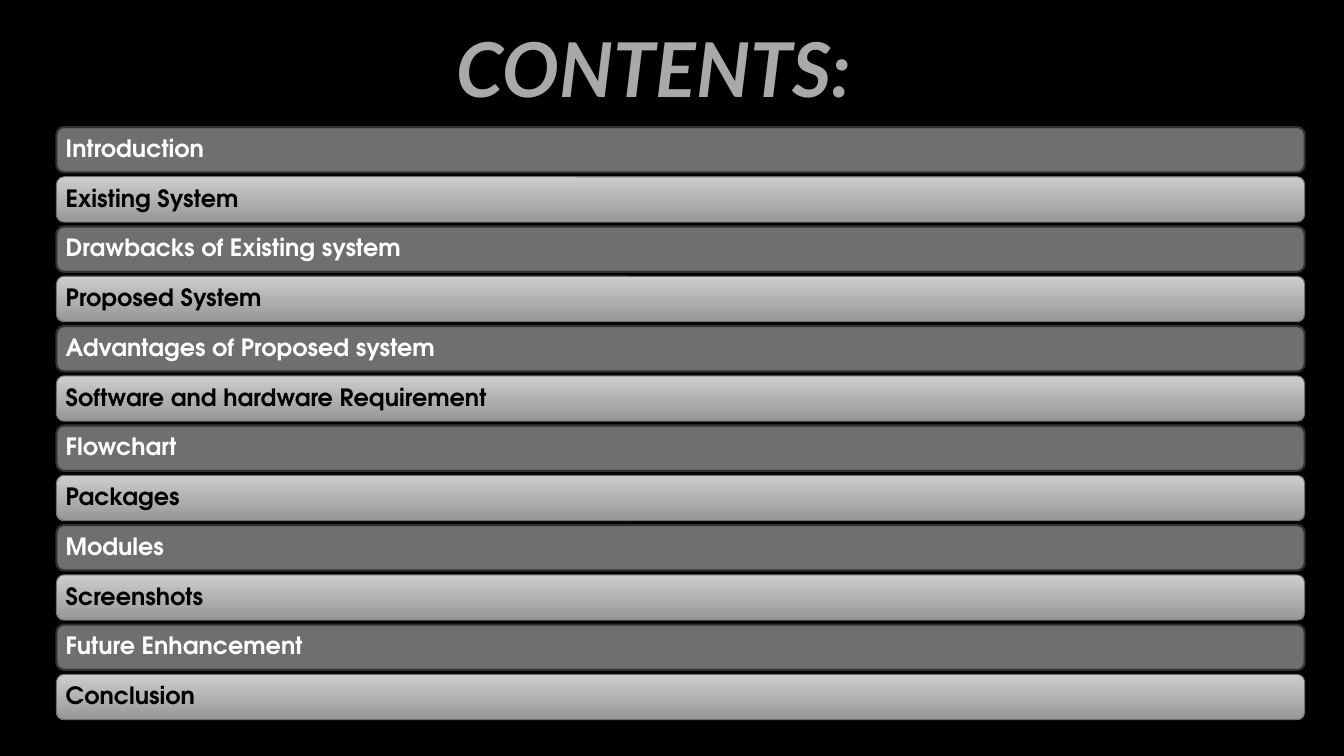
from pptx import Presentation
from pptx.dml.color import RGBColor
from pptx.enum.shapes import MSO_SHAPE
from pptx.enum.text import MSO_ANCHOR, PP_ALIGN
from pptx.util import Inches, Pt

ROUNDED = MSO_SHAPE.ROUNDED_RECTANGLE
MIDDLE = MSO_ANCHOR.MIDDLE
LEFT = PP_ALIGN.LEFT

BLACK = RGBColor(0x00, 0x00, 0x00)
WHITE = RGBColor(0xFF, 0xFF, 0xFF)
TITLE_GREY = RGBColor(0xA9, 0xA9, 0xA9)
DARK_BAR = RGBColor(0x6F, 0x6F, 0x6F)
DARK_EDGE = RGBColor(0x31, 0x31, 0x31)
LIGHT_TOP = RGBColor(0xCD, 0xCD, 0xCD)
LIGHT_BOTTOM = RGBColor(0x97, 0x97, 0x97)

TITLE_FONT = "Lato"
BAR_FONT = "TeX Gyre Adventor"

# Regions in inches: left, top, width, height
TITLE_BOX = (4.43, 0.22, 5.47, 0.9)
LIST_BOX = (0.56, 1.26, 12.38, 5.88)
BAR_HEIGHT = 0.45

TOPICS = [
    "Introduction",
    "Existing System",
    "Drawbacks of Existing system",
    "Proposed System",
    "Advantages of Proposed system",
    "Software and hardware Requirement",
    "Flowchart",
    "Packages",
    "Modules",
    "Screenshots",
    "Future Enhancement",
    "Conclusion",
]


def add_text(frame, text, font_name, size, color, italic=False):
    """Write one bold, left-aligned line in the middle of a text frame."""
    frame.word_wrap = True
    frame.vertical_anchor = MIDDLE
    para = frame.paragraphs[0]
    para.alignment = LEFT
    run = para.add_run()
    run.text = text
    run.font.name = font_name
    run.font.size = Pt(size)
    run.font.bold = True
    run.font.italic = italic
    run.font.color.rgb = color
    return para


def add_title(page, box):
    shape = page.shapes.add_textbox(*map(Inches, box))
    add_text(shape.text_frame, "CONTENTS:", TITLE_FONT, 54, TITLE_GREY, italic=True)


def paint_bar(bar, dark):
    """Give a bar the flat dark look or the light gradient."""
    bar.shadow.inherit = False
    if dark:
        bar.fill.solid()
        bar.fill.fore_color.rgb = DARK_BAR
    else:
        bar.fill.gradient()
        bar.fill.gradient_angle = 270
        for stop, color in zip(bar.fill.gradient_stops, (LIGHT_TOP, LIGHT_BOTTOM)):
            stop.color.rgb = color
    bar.line.color.rgb = DARK_EDGE if dark else DARK_BAR
    bar.line.width = Pt(1.5 if dark else 0.75)


def add_topic_list(page, box):
    left, top, width, height = box
    pitch = (height - BAR_HEIGHT) / (len(TOPICS) - 1)
    for row, topic in enumerate(TOPICS):
        dark = row % 2 == 0
        place = (left, top + row * pitch, width, BAR_HEIGHT)
        bar = page.shapes.add_shape(ROUNDED, *map(Inches, place))
        paint_bar(bar, dark)
        frame = bar.text_frame
        frame.margin_left = frame.margin_right = Inches(0.07)
        frame.margin_top = frame.margin_bottom = Inches(0.05)
        para = add_text(frame, topic, BAR_FONT, 17, WHITE if dark else BLACK)
        para.line_spacing = 0.9


def main():
    deck = Presentation()
    deck.slide_width = Inches(13.33)
    deck.slide_height = Inches(7.5)
    page = deck.slides.add_slide(deck.slide_layouts[6])
    page.background.fill.solid()
    page.background.fill.fore_color.rgb = BLACK
    add_title(page, TITLE_BOX)
    add_topic_list(page, LIST_BOX)
    deck.save("out.pptx")


if __name__ == "__main__":
    main()
